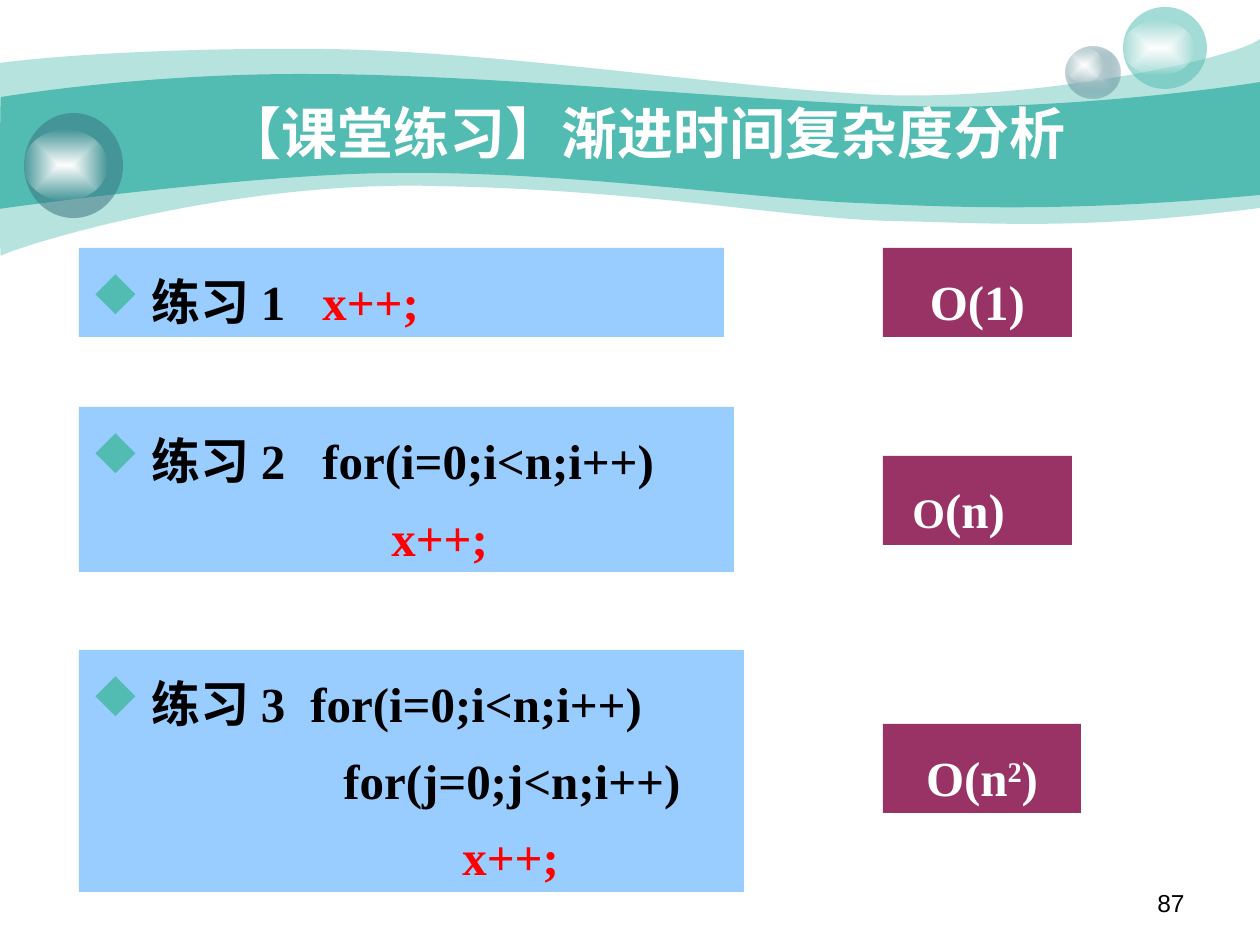
from lxml import etree
from pptx import Presentation
from pptx.dml.color import RGBColor
from pptx.enum.shapes import MSO_SHAPE
from pptx.enum.text import MSO_ANCHOR, PP_ALIGN
from pptx.oxml.ns import qn
from pptx.util import Pt

OVAL, RECT = MSO_SHAPE.OVAL, MSO_SHAPE.RECTANGLE
LEFT, CENTER, RIGHT = PP_ALIGN.LEFT, PP_ALIGN.CENTER, PP_ALIGN.RIGHT
MIDDLE, TOP = MSO_ANCHOR.MIDDLE, MSO_ANCHOR.TOP

TEAL, SLATE, MIST = "52BCB2", "37737F", "CCDBDE"
SKY, PLUM = "99CCFF", "993366"
WHITE, BLACK, RED = "FFFFFF", "000000", "FF0000"
SERIF, SANS = "Times New Roman", "Arial"

HANGING = 47
PANEL_LEFT, ANSWER_LEFT = 79, 883

OUTER_WAVE = [
    [(0, 63)],
    [(30, 59), (135, 48), (311, 49)],
    [(486, 49), (725, 88), (881, 95)],
    [(1036, 101), (1235, 59), (1260, 39)],
    [(1260, 208)],
    [(1081, 231), (992, 223), (888, 221)],
    [(784, 218), (649, 190), (432, 186)],
    [(217, 181), (5, 251), (1, 256)],
    [(-1, 262), (0, 95), (0, 63)],
]
INNER_WAVE = [
    [(1, 97)],
    [(3, 97), (139, 73), (312, 74)],
    [(486, 74), (750, 101), (905, 106)],
    [(1060, 111), (1230, 87), (1260, 82)],
    [(1260, 195)],
    [(1075, 212), (964, 208), (859, 203)],
    [(755, 199), (563, 171), (399, 173)],
    [(256, 173), (-3, 209), (-1, 209)],
    [(0, 209), (0, 97), (1, 97)],
]

EXERCISES = [
    (248, 645, 89, 231, [(" 练习1\t", BLACK), ("x++;", RED)], []),
    (407, 655, 165, 231, [(" 练习2\tfor(i=0;i<n;i++)", BLACK)],
     [(300, "x++;", RED)]),
    (650, 665, 242, 219, [(" 练习3\tfor(i=0;i<n;i++)", BLACK)],
     [(252, "for(j=0;j<n;i++)", BLACK), (371, "x++;", RED)]),
]


def px(length):
    return round(length * 914400 / 126)


def rgb(color):
    return RGBColor.from_string(color)


def set_alpha(color_parent, percent):
    for color in color_parent.iter(qn("a:srgbClr")):
        etree.SubElement(color, qn("a:alpha")).set("val", str(percent * 1000))


def paint(shape, color, alpha=100):
    shape.shadow.inherit = False
    shape.line.fill.background()
    shape.fill.solid()
    shape.fill.fore_color.rgb = rgb(color)
    if alpha < 100:
        set_alpha(shape._element.spPr.find(qn("a:solidFill")), alpha)


def paint_glow(shape, center, edge, edge_alpha):
    shape.shadow.inherit = False
    shape.line.fill.background()
    shape.fill.gradient()
    for stop, color in zip(shape.fill.gradient_stops, (center, edge)):
        stop.color.rgb = rgb(color)
    gradient = shape._element.spPr.find(qn("a:gradFill"))
    set_alpha(gradient.findall(".//" + qn("a:gs"))[1], edge_alpha)
    gradient.remove(gradient.find(qn("a:lin")))
    spread = etree.SubElement(gradient, qn("a:path"))
    spread.set("path", "rect")
    focus = etree.SubElement(spread, qn("a:fillToRect"))
    for side in "ltrb":
        focus.set(side, "50000")


def add_wave(slide, outline, alpha):
    anchors = [tuple(map(px, segment[-1])) for segment in outline]
    builder = slide.shapes.build_freeform(*anchors[0])
    builder.add_line_segments(anchors[1:], close=True)
    wave = builder.convert_to_shape()
    sides = list(wave._element.spPr.iter(qn("a:lnTo")))
    for side, segment in zip(sides, outline[1:]):
        if len(segment) == 1:
            continue
        curve = etree.Element(qn("a:cubicBezTo"))
        for x, y in segment:
            point = etree.SubElement(curve, qn("a:pt"))
            point.set("x", str(px(x) - wave.left))
            point.set("y", str(px(y) - wave.top))
        side.getparent().replace(side, curve)
    paint(wave, TEAL, alpha)


def add_oval(slide, *box):
    return slide.shapes.add_shape(OVAL, *map(px, box))


def add_bubbles(slide):
    paint_glow(add_oval(slide, 1066, 47, 54, 52), MIST, SLATE, 31)
    paint_glow(add_oval(slide, 1066, 48, 36, 34), WHITE, WHITE, 0)
    paint(add_oval(slide, 1123, 7, 84, 82), TEAL, 53)
    paint_glow(add_oval(slide, 1123, 21, 71, 54), WHITE, WHITE, 0)
    paint(add_oval(slide, 24, 113, 99, 105), SLATE, 53)
    paint_glow(add_oval(slide, 24, 130, 83, 70), WHITE, WHITE, 0)


def style(paragraph, size, color, font=SERIF, bold=True, align=LEFT):
    paragraph.alignment = align
    paragraph.font.size = Pt(size)
    paragraph.font.name = font
    paragraph.font.bold = bold
    paragraph.font.color.rgb = rgb(color)


def add_label(slide, box, text, anchor=TOP, **look):
    label = slide.shapes.add_textbox(*map(px, box)).text_frame
    label.word_wrap = True
    label.vertical_anchor = anchor
    label.text = text
    style(label.paragraphs[0], **look)


def add_panel(slide, box, color):
    panel = slide.shapes.add_shape(RECT, *map(px, box))
    paint(panel, color)
    panel.text_frame.word_wrap = True
    panel.text_frame.vertical_anchor = TOP
    return panel.text_frame


def add_run(paragraph, text):
    run = paragraph.add_run()
    run.text = text
    return run


def add_bullet(paragraph, code_left):
    props = paragraph._p.get_or_add_pPr()
    props.set("marL", str(px(HANGING)))
    props.set("indent", str(px(-HANGING)))
    bullet_color = etree.SubElement(props, qn("a:buClr"))
    etree.SubElement(bullet_color, qn("a:srgbClr")).set("val", TEAL)
    etree.SubElement(props, qn("a:buFont")).set("typeface", "Wingdings")
    etree.SubElement(props, qn("a:buChar")).set("char", "u")
    stops = etree.SubElement(props, qn("a:tabLst"))
    for position in (code_left - HANGING, code_left):
        stop = etree.SubElement(stops, qn("a:tab"))
        stop.set("pos", str(px(position)))
        stop.set("algn", "l")


def add_exercise(slide, top, width, height, code_left, opening, more_lines):
    frame = add_panel(slide, (PANEL_LEFT, top, width, height), SKY)
    heading = frame.paragraphs[0]
    add_bullet(heading, code_left)
    for text, color in opening:
        add_run(heading, text).font.color.rgb = rgb(color)
    style(heading, 28, BLACK)
    for indent, text, color in more_lines:
        line = frame.add_paragraph()
        line._p.get_or_add_pPr().set("marL", str(px(indent)))
        add_run(line, text)
        style(line, 28, color)
    for line in frame.paragraphs:
        line.line_spacing = 1.3


def add_answer(slide, top, width, parts):
    frame = add_panel(slide, (ANSWER_LEFT, top, width, 89), PLUM)
    formula = frame.paragraphs[0]
    formula.line_spacing = 1.3
    style(formula, 28, WHITE, align=CENTER)
    return frame, [add_run(formula, part) for part in parts]


def main():
    deck = Presentation()
    deck.slide_width, deck.slide_height = px(1260), px(945)
    slide = deck.slides.add_slide(deck.slide_layouts[6])
    add_wave(slide, OUTER_WAVE, 41)
    add_wave(slide, INNER_WAVE, 100)
    add_bubbles(slide)
    add_label(slide, (903, 882, 294, 44), "87", size=14, color=BLACK,
              font=SANS, bold=False, align=RIGHT)
    add_label(slide, (155, 106, 982, 53), "【课堂练习】渐进时间复杂度分析",
              size=32, color=WHITE, align=CENTER, anchor=MIDDLE)
    for exercise in EXERCISES:
        add_exercise(slide, *exercise)
    add_answer(slide, 248, 189, ["O(1)"])
    linear, (order, _) = add_answer(slide, 456, 189, ["O", "(n)"])
    linear.margin_right = px(50)
    order.font.size = Pt(24)
    _, (_, exponent, _) = add_answer(slide, 724, 198, ["O(n", "2", ")"])
    exponent._r.get_or_add_rPr().set("baseline", "30000")
    deck.save("out.pptx")


if __name__ == "__main__":
    main()
